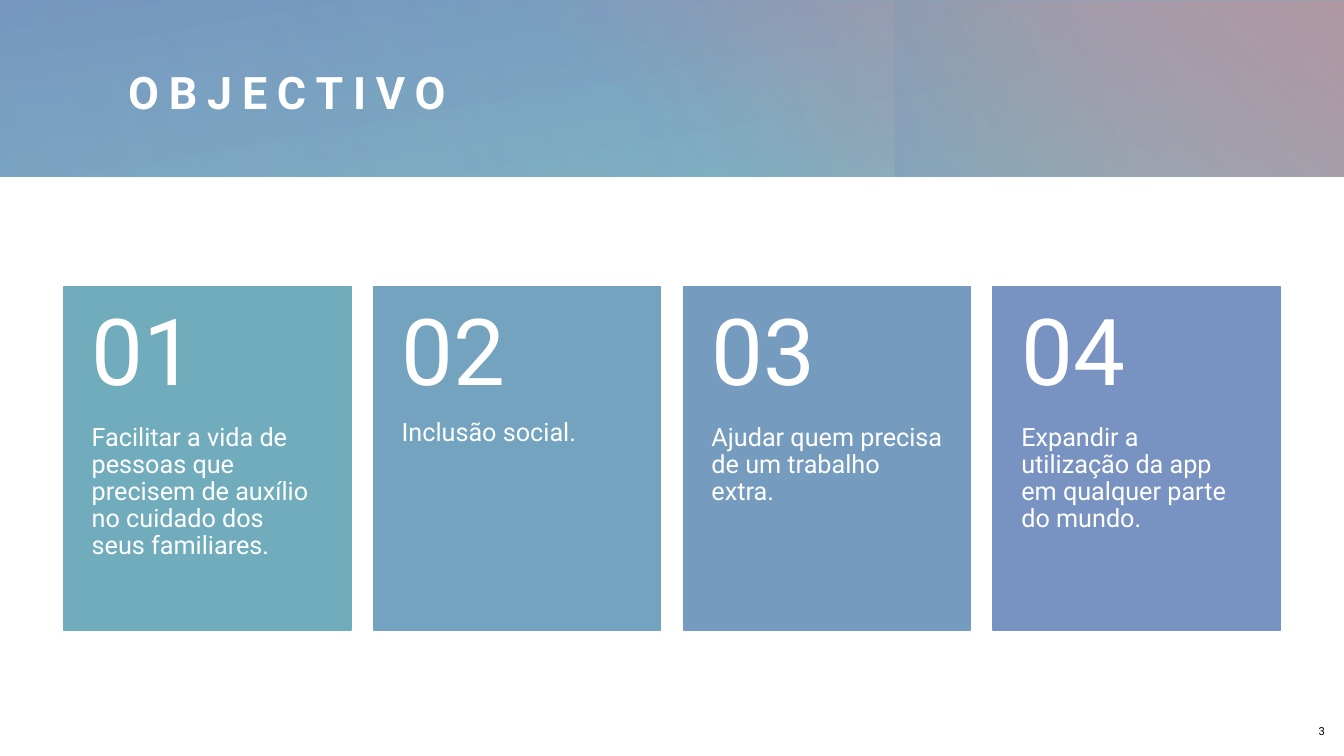
from pptx import Presentation
from pptx.dml.color import RGBColor
from pptx.enum.shapes import MSO_SHAPE as Shape
from pptx.enum.text import MSO_ANCHOR as Anchor, PP_ALIGN as Align
from pptx.oxml.ns import qn
from pptx.oxml.xmlchemy import OxmlElement
from pptx.util import Inches, Pt

WHITE = RGBColor(0xFF, 0xFF, 0xFF)
BLACK = RGBColor(0, 0, 0)
TEAL = RGBColor(0x70, 0xAC, 0xBC)
SKY = RGBColor(0x73, 0xA3, 0xBE)
STEEL = RGBColor(0x75, 0x9B, 0xBF)
BLUE = RGBColor(0x78, 0x93, 0xC1)
GREEN = RGBColor(0x6D, 0xAF, 0xA2)
ROSE = RGBColor(0xCC, 0x90, 0x99)
FONT = "Roboto"

# Content
TITLE = "OBJECTIVO"
PAGE_NUMBER = "3"
GOALS = [
    ("01", "Facilitar a vida de pessoas que precisem de auxílio no cuidado dos "
           "seus familiares.", TEAL),
    ("02", "Inclusão social.", SKY),
    ("03", "Ajudar quem precisa de um trabalho extra.", STEEL),
    ("04", "Expandir a utilização da app em qualquer parte do mundo.", BLUE),
]
# Banner layers: left, top, width, height, rotation, clockwise gradient angle,
# stops as (position %, colour, opacity %)
BANNER = [
    (0, 0, 13.33, 1.75, 0, 260, [(0, TEAL, 83), (100, BLUE, 100)]),
    (4.81, 0.01, 8.52, 1.74, 0, 310, [(22, ROSE, 0), (99, ROSE, 100)]),
    (9.87, -0.99, 1.75, 3.74, 270, 250, [(45, GREEN, 0), (99, BLUE, 33)]),
    (2.68, 0, 10.64, 1.75, 180, 330, [(0, TEAL, 30), (99, TEAL, 0)]),
    (0, 0, 8.65, 1.75, 0, 340, [(0, TEAL, 21), (99, TEAL, 0)]),
]

# Card geometry
PAGE_WIDTH, PAGE_HEIGHT = 13.33, 7.5
MARGIN = 0.63
CARD_TOP, CARD_WIDTH, CARD_HEIGHT = 2.84, 2.85, 3.41
NUMBER_HEIGHT = 1.37
CARD_STEP = (PAGE_WIDTH - 2 * MARGIN - CARD_WIDTH) / (len(GOALS) - 1)


def place(left, top, width, height):
    return [Inches(value) for value in (left, top, width, height)]


def add_rectangle(shapes, area):
    box = shapes.add_shape(Shape.RECTANGLE, *place(*area))
    box.shadow.inherit = False
    return box


def add_layer(shapes, left, top, width, height, rotation, angle, stops):
    box = add_rectangle(shapes, (left, top, width, height))
    box.rotation = rotation
    box.line.fill.background()
    box.fill.gradient()
    box.fill.gradient_angle = (360 - angle) % 360
    for stop, (position, color, opacity) in zip(box.fill.gradient_stops, stops):
        stop.position = position / 100
        stop.color.rgb = color
    # Opacity of each stop
    for node, (_, _, opacity) in zip(box._element.iter(qn("a:srgbClr")), stops):
        alpha = OxmlElement("a:alpha")
        alpha.set("val", str(opacity * 1000))
        node.append(alpha)


def write(box, text, size, insets, color=WHITE, anchor=Anchor.TOP,
          align=Align.LEFT, spacing=0.9):
    frame = box.text_frame
    frame.word_wrap = True
    frame.vertical_anchor = anchor
    (frame.margin_left, frame.margin_top,
     frame.margin_right, frame.margin_bottom) = place(*insets)
    para = frame.paragraphs[0]
    para.alignment = align
    para.line_spacing = spacing
    span = para.add_run()
    span.text = text
    span.font.name = FONT
    span.font.size = Pt(size)
    span.font.color.rgb = color
    return span


def add_card(shapes, left, number, goal, color):
    group = shapes.add_group_shape().shapes
    panel = add_rectangle(group, (left, CARD_TOP, CARD_WIDTH, CARD_HEIGHT))
    panel.fill.solid()
    panel.fill.fore_color.rgb = color
    panel.line.color.rgb = color
    panel.line.width = Pt(1)
    body = group.add_textbox(*place(left, CARD_TOP + NUMBER_HEIGHT, CARD_WIDTH,
                                    CARD_HEIGHT - NUMBER_HEIGHT))
    write(body, goal, 18, (0.28, 0, 0.28, 0.36))
    head = group.add_textbox(*place(left, CARD_TOP, CARD_WIDTH, NUMBER_HEIGHT))
    write(head, number, 66, (0.28, 0.18, 0.28, 0.18), anchor=Anchor.MIDDLE)


def main():
    deck = Presentation()
    deck.slide_width, deck.slide_height = Inches(PAGE_WIDTH), Inches(PAGE_HEIGHT)
    page = deck.slides.add_slide(deck.slide_layouts[5])
    shapes = page.shapes

    # Banner
    for layer in BANNER:
        add_layer(shapes, *layer)

    # Title, brought in front of the banner
    title = shapes.title
    title.left, title.top, title.width, title.height = place(1.27, 0.41, 11.35, 1.06)
    span = write(title, TITLE, 32, (0, 0, 0, 0), anchor=Anchor.MIDDLE)
    span.font.bold = True
    span.font._element.set("spc", "700")
    shapes._spTree.append(title._element)

    # Cards
    for index, goal in enumerate(GOALS):
        add_card(shapes, MARGIN + index * CARD_STEP, *goal)

    # Page number
    corner = shapes.add_textbox(*place(12.76, 7.01, 0.48, 0.49))
    write(corner, PAGE_NUMBER, 8, (0.1, 0.05, 0.1, 0.05), BLACK, Anchor.MIDDLE,
          Align.RIGHT, 1.0)

    deck.save("out.pptx")


if __name__ == "__main__":
    main()
